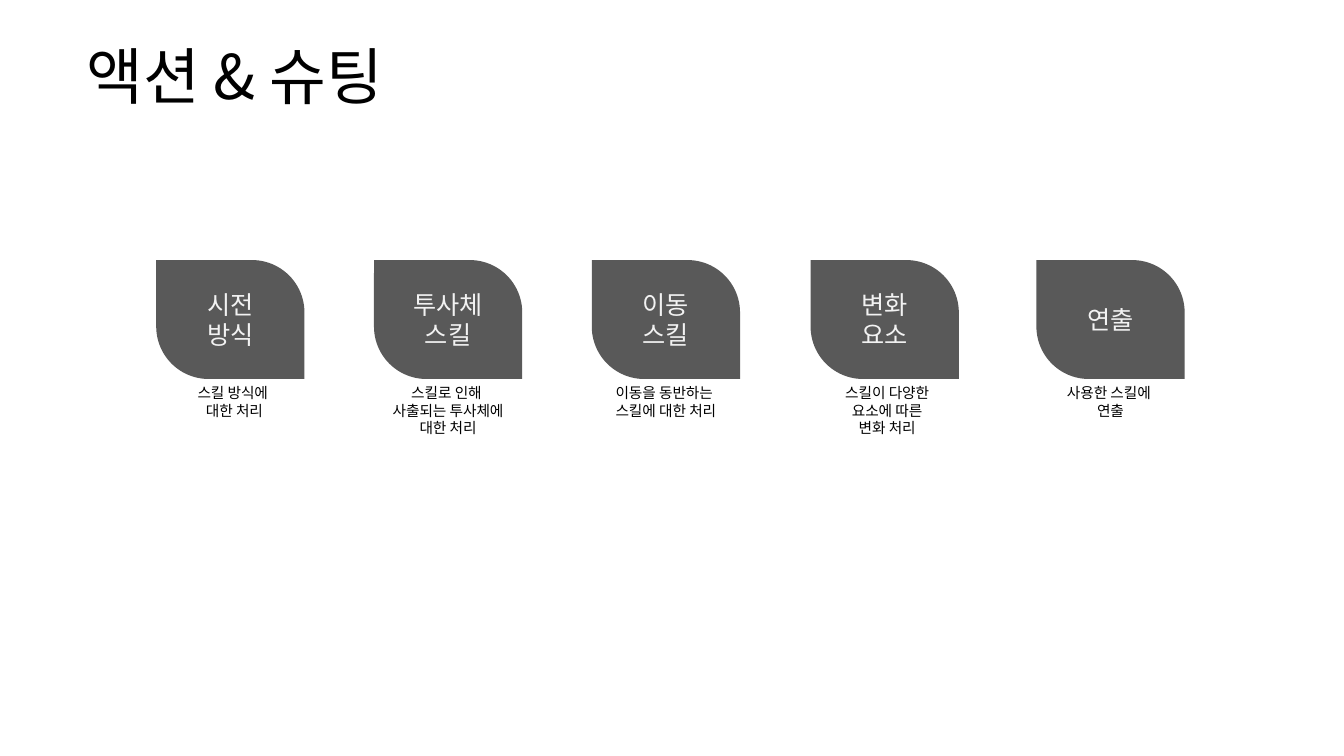
from pptx import Presentation
from pptx.util import Inches, Pt
from pptx.dml.color import RGBColor
from pptx.enum import shapes, text
from pptx.oxml import parse_xml
from pptx.oxml.ns import nsdecls

FONT = "Noto Sans CJK KR"
COLORS = {"leaf": "595959", "label": "F2F2F2", "ink": "000000"}


def format_text(tf, size, color, align, anchor):
    tf.word_wrap = True
    tf.vertical_anchor = anchor
    for p in tf.paragraphs:
        p.alignment = align
        for r in p.runs:
            r.font.size = Pt(size)
            r.font.name = FONT
            r.font.color.rgb = RGBColor.from_string(COLORS[color])
            # East Asian typeface for the Hangul
            r.font._element.append(
                parse_xml(f'<a:ea {nsdecls("a")} typeface="{FONT}"/>'))


prs = Presentation()
prs.slide_width, prs.slide_height = Inches(13.33), Inches(7.5)
s = prs.slides.add_slide(prs.slide_layouts[5])

# Title
title = s.shapes.title
title.left, title.top = Inches(0.76), Inches(0.32)
title.width, title.height = Inches(11.81), Inches(0.94)
title.text_frame.text = "액션 & 슈팅"
title.text_frame.paragraphs[0].line_spacing = 0.9
format_text(title.text_frame, 44, "ink", text.PP_ALIGN.LEFT, text.MSO_ANCHOR.MIDDLE)

# Skill topics: left edge, label, caption width, caption
LEAF_W, LEAF_H, TOP = 1.47, 1.18, 2.58
topics = [
    (1.55, "시전\n방식", 1.55, "스킬 방식에 \n대한 처리"),
    (3.71, "투사체\n스킬", 1.47, "스킬로 인해 \n사출되는 투사체에 대한 처리"),
    (5.87, "이동\n스킬", 1.47, "이동을 동반하는 \n스킬에 대한 처리"),
    (8.04, "변화\n요소", 1.55, "스킬이 다양한 \n요소에 따른 \n변화 처리 "),
    (10.28, "연출", 1.47, "사용한 스킬에 \n연출"),
]
for left, label, caption_w, caption in topics:
    # Leaf with rounded top-right and bottom-left corners
    leaf = s.shapes.add_shape(shapes.MSO_SHAPE.ROUND_2_DIAG_RECTANGLE, Inches(left),
                              Inches(TOP), Inches(LEAF_W), Inches(LEAF_H))
    leaf.adjustments[0], leaf.adjustments[1] = 0, 0.441
    leaf.shadow.inherit = False
    leaf.fill.solid()
    leaf.fill.fore_color.rgb = RGBColor.from_string(COLORS["leaf"])
    leaf.line.fill.background()
    leaf.text_frame.text = label
    format_text(leaf.text_frame, 18, "label", text.PP_ALIGN.CENTER, text.MSO_ANCHOR.MIDDLE)

    # Caption under the leaf
    box = s.shapes.add_textbox(Inches(left), Inches(TOP + LEAF_H), Inches(caption_w),
                               Inches(0.63 if len(caption) > 18 else 0.45))
    box.text_frame.text = caption
    format_text(box.text_frame, 10.5, "ink", text.PP_ALIGN.CENTER, text.MSO_ANCHOR.TOP)

prs.save("out.pptx")
